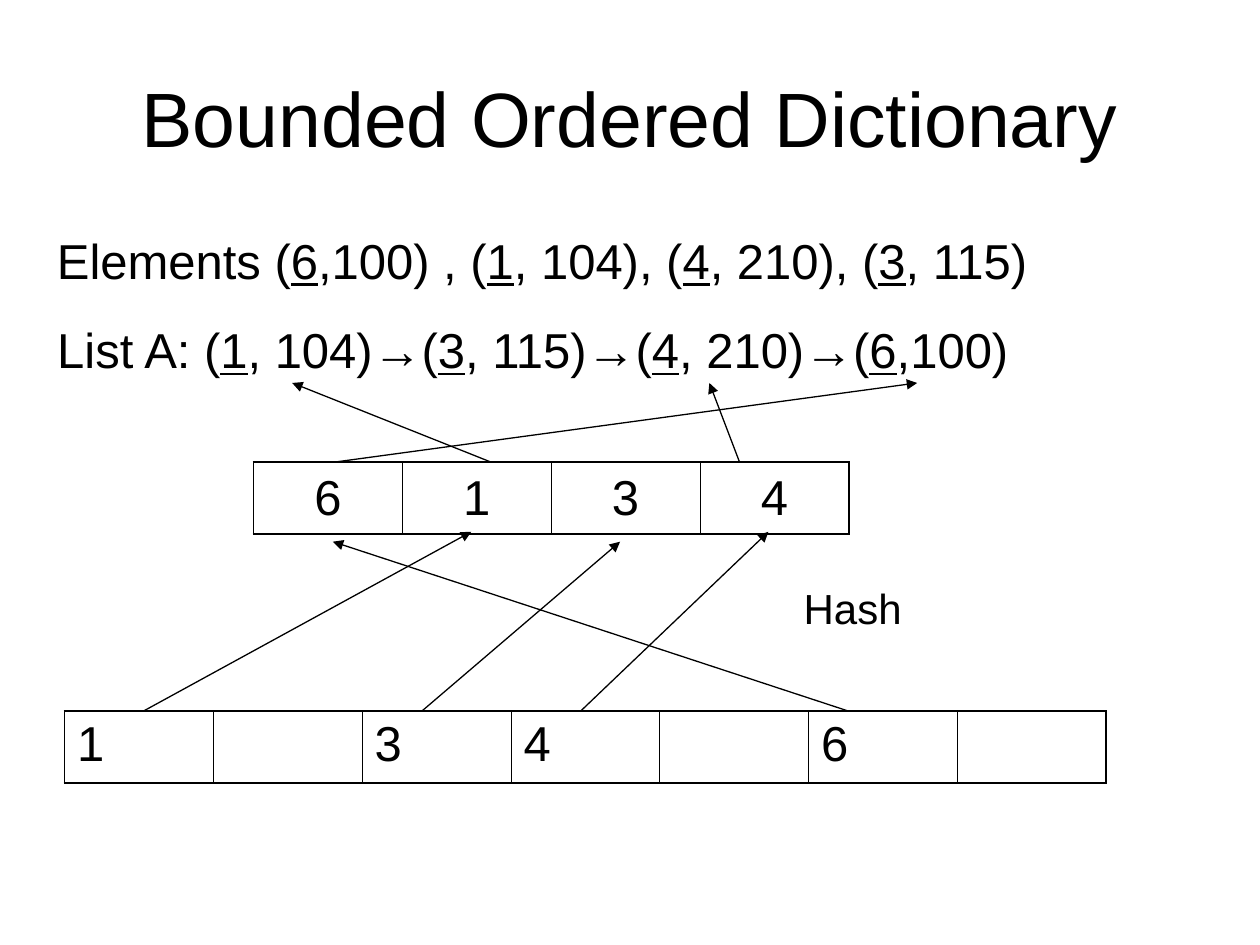
import pptx
import pptx.dml.color
import pptx.enum.shapes
import pptx.enum.text
import pptx.oxml
import pptx.oxml.ns
import pptx.util

Cm = pptx.util.Cm
Pt = pptx.util.Pt
ALIGN = pptx.enum.text.PP_ALIGN
ANCHOR = pptx.enum.text.MSO_ANCHOR
COLORS = {"ink": "000000", "paper": "FFFFFF"}


class SlideBuilder:
    """Holds the slide and its style, with one method per kind of element."""

    font_name = "Arial"
    thin, thick = 0.45, 1.08

    def __init__(self, slide):
        self.slide = slide
        fill = slide.background.fill
        fill.solid()
        fill.fore_color.rgb = self.color("paper")

    def color(self, name):
        return pptx.dml.color.RGBColor.from_string(COLORS[name])

    def element(self, parent, tag, index=None, **attributes):
        child = pptx.oxml.parse_xml(f"<{tag} {pptx.oxml.ns.nsdecls('a')}/>")
        for name, value in attributes.items():
            child.set(name, str(value))
        parent.insert(len(parent) if index is None else index, child)
        return child

    def add_spans(self, frame, pieces, size, align=ALIGN.LEFT, anchor=ANCHOR.TOP):
        frame.word_wrap = True
        frame.vertical_anchor = anchor
        para = frame.paragraphs[0]
        para.alignment = align
        para.space_before = Pt(0)
        for number, piece in enumerate(pieces):
            span = para.add_run()
            span.text = piece
            span.font.name = self.font_name
            span.font.size = Pt(size)
            span.font.color.rgb = self.color("ink")
            if number % 2:
                span.font.underline = True
        return para

    def place(self, box, left, top, width, height):
        box.left, box.top = Cm(left), Cm(top)
        box.width, box.height = Cm(width), Cm(height)
        box.text_frame.auto_size = pptx.enum.text.MSO_AUTO_SIZE.NONE

    def title(self, text, *area):
        box = self.slide.shapes.title
        self.place(box, *area)
        self.add_spans(box.text_frame, [text], 44, ALIGN.CENTER, ANCHOR.MIDDLE)

    def body(self, pieces, *area):
        box = self.slide.placeholders[1]
        self.place(box, *area)
        para = self.add_spans(box.text_frame, pieces, 28)
        properties = para._p.get_or_add_pPr()
        properties.set("marL", str(Cm(0.95)))
        properties.set("indent", str(-Cm(0.95)))
        self.element(properties, "a:buNone")

    def text(self, pieces, size, *area):
        box = self.slide.shapes.add_textbox(*map(Cm, area))
        return self.add_spans(box.text_frame, pieces, size)

    def borders(self, cell, first, last):
        properties = cell._tc.get_or_add_tcPr()
        widths = {
            "L": self.thick if first else self.thin,
            "R": self.thick if last else self.thin,
            "T": self.thick,
            "B": self.thick,
        }
        for index, (side, width) in enumerate(widths.items()):
            line = self.element(properties, f"a:ln{side}", index, w=Pt(width))
            fill = self.element(line, "a:solidFill")
            self.element(fill, "a:srgbClr", val=COLORS["ink"])

    def array(self, values, left, top, align=ALIGN.LEFT, anchor=ANCHOR.TOP):
        width, height = Cm(3 * len(values)), Cm(1.45)
        table = self.slide.shapes.add_table(
            1, len(values), Cm(left), Cm(top), width, height).table
        table.first_row = table.horz_banding = False
        for index, value in enumerate(values):
            table.columns[index].width = Cm(3)
            cell = table.cell(0, index)
            cell.fill.background()
            self.borders(cell, index == 0, index == len(values) - 1)
            if value:
                self.add_spans(cell.text_frame, [value], 28, align)
                cell.vertical_anchor = anchor

    def arrow(self, *ends):
        arrow = self.slide.shapes.add_connector(
            pptx.enum.shapes.MSO_CONNECTOR.STRAIGHT, *map(Cm, ends))
        arrow.line.color.rgb = self.color("ink")
        arrow.line.width = Pt(0.75)
        properties = arrow._element.spPr
        outline = properties.find(pptx.oxml.ns.qn("a:ln"))
        self.element(outline, "a:tailEnd", type="triangle")
        self.element(properties, "a:effectLst")


def main():
    deck = pptx.Presentation()
    deck.slide_width, deck.slide_height = Cm(25.4), Cm(19.05)
    page = SlideBuilder(deck.slides.add_slide(deck.slide_layouts[1]))

    page.title("Bounded Ordered Dictionary", 1.27, 0.76, 22.86, 3.18)
    page.body(["List A: (", "1", ", 104)→(", "3", ", 115)→(", "4",
               ", 210)→(", "6", ",100)"], 0.9, 6.32, 22.43, 1.68)
    page.text(["Elements (", "6", ",100) , (", "1", ", 104), (", "4",
               ", 210), (", "3", ", 115)"], 28, 0.9, 4.52, 23.4, 1.68)

    list_bottom, array_top, hash_top = 7.72, 9.32, 14.33
    page.array(["1", "", "3", "4", "", "6", ""], 1.3, hash_top)
    page.array(["6", "1", "3", "4"], 5.11, array_top,
               ALIGN.CENTER, ANCHOR.MIDDLE)

    for start, end in ((6.71, 18.49), (9.91, 5.89), (14.91, 14.3)):
        page.arrow(start, array_top, end, list_bottom)
    for start, end, tip in ((2.9, 9.5, 10.72), (8.51, 12.5, 10.92),
                            (11.71, 15.49, 10.72), (17.09, 6.71, 10.92)):
        page.arrow(start, hash_top, end, tip)

    label = page.text(["Hash"], 24, 15.95, 11.73, 4.39, 1.17)
    label.line_spacing = 0.9
    deck.save("out.pptx")


if __name__ == "__main__":
    main()
